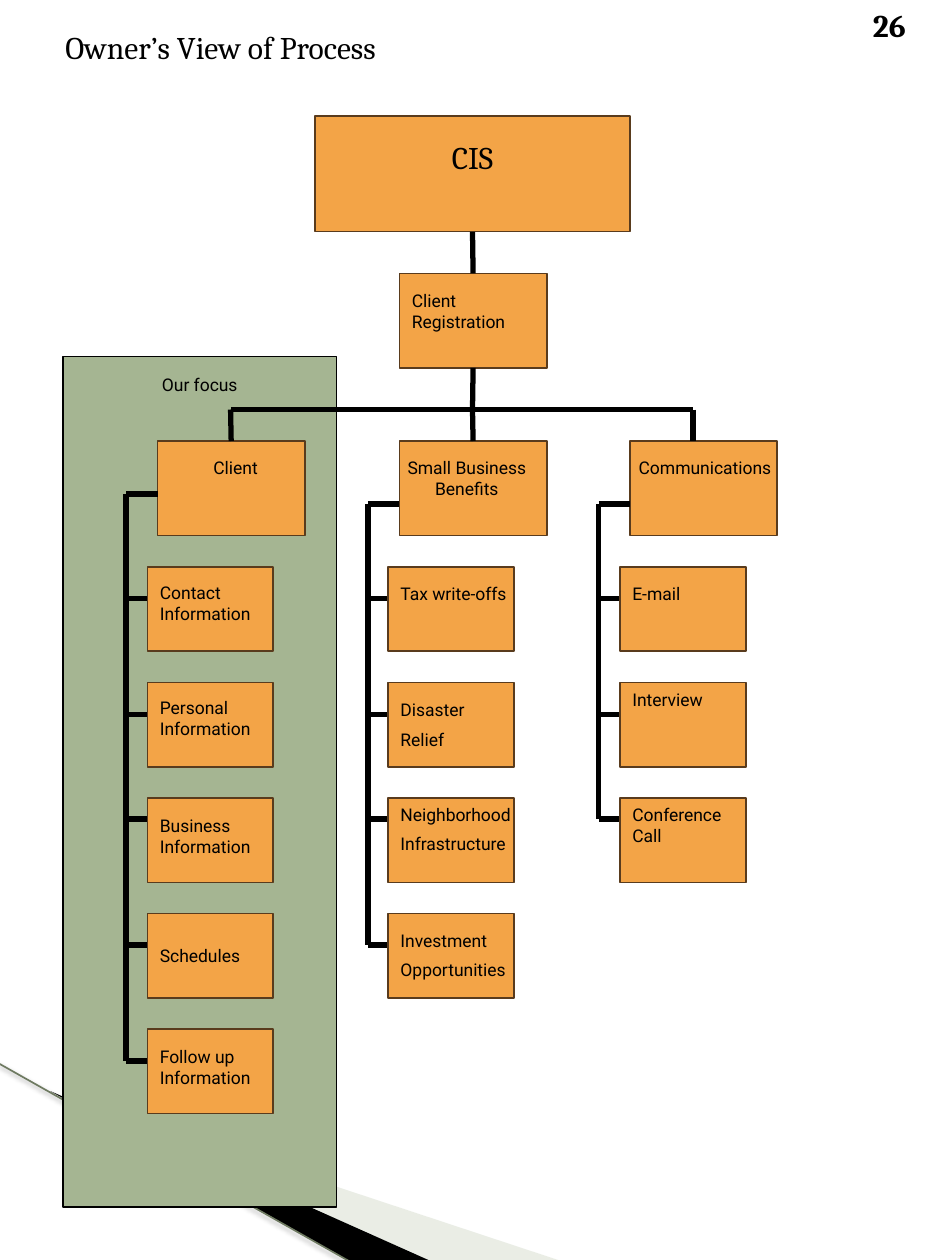
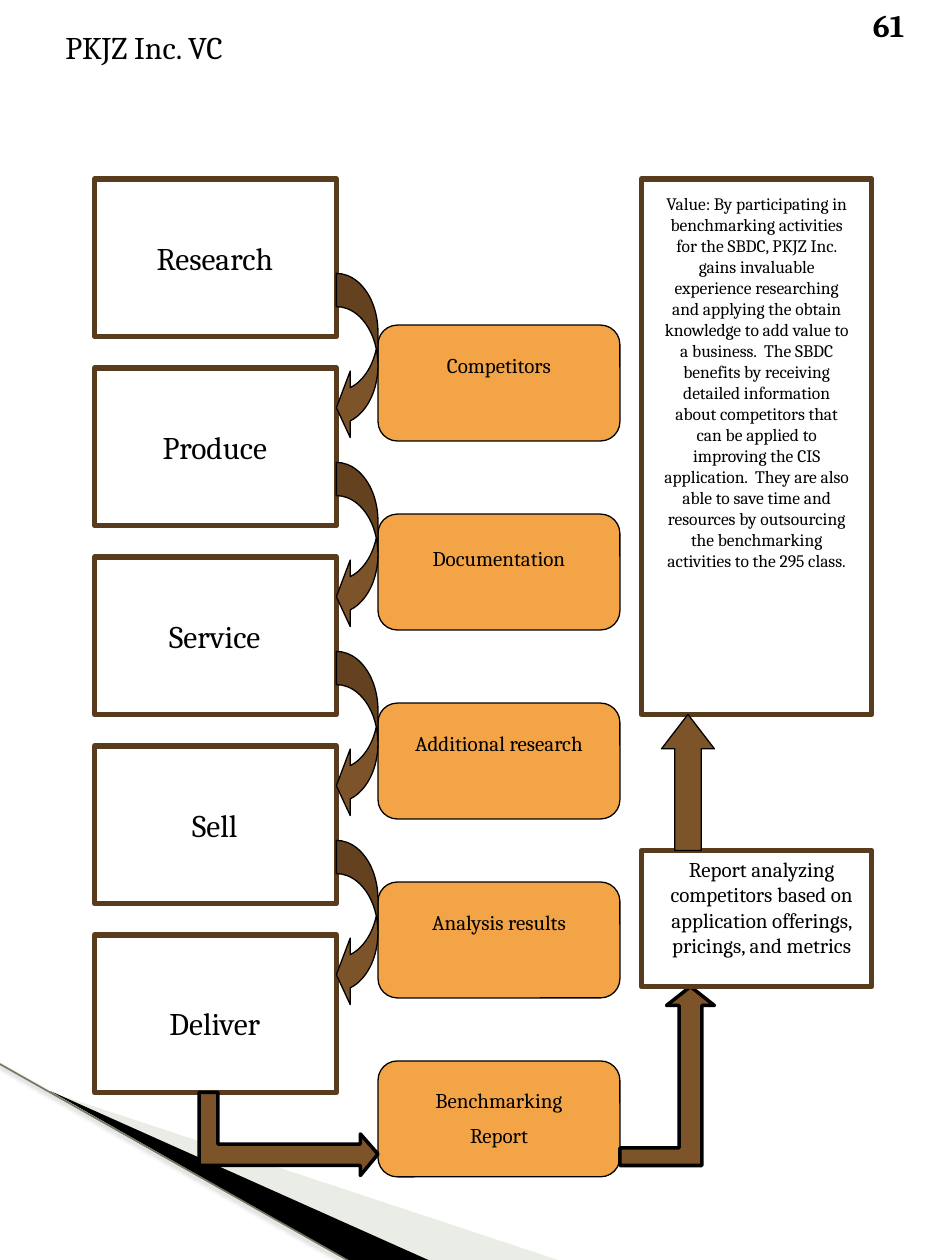
from lxml import etree
from pptx import Presentation
from pptx.dml.color import RGBColor
from pptx.enum import shapes, text
from pptx.oxml import ns
from pptx.util import Inches, Pt

BLACK = RGBColor(0x00, 0x00, 0x00)
ORANGE = RGBColor(0xF3, 0xA4, 0x47)
DARK_BROWN = RGBColor(0x59, 0x3B, 0x1D)
BROWN = RGBColor(0x7D, 0x53, 0x29)
SAGE = RGBColor(0xA5, 0xB5, 0x92)
PALE_SAGE = RGBColor(0xCB, 0xD4, 0xC0)
MOSS = RGBColor(0x6E, 0x7A, 0x61)

TITLE = {"name": "Cambria", "size": Pt(18)}
NUMBER = {"name": "Cambria", "size": Pt(18), "bold": True}
STEP = {"name": "Cambria", "size": Pt(12)}
NOTE = {"name": "Cambria", "size": Pt(10)}
NODE = {"name": "Roboto", "size": Pt(10)}

LEFT, CENTER = text.PP_ALIGN.LEFT, text.PP_ALIGN.CENTER
RECT = shapes.MSO_SHAPE.RECTANGLE
ROUNDED = shapes.MSO_SHAPE.ROUNDED_RECTANGLE
CURVED_ARROW = shapes.MSO_SHAPE.CURVED_LEFT_ARROW
UP_ARROW = shapes.MSO_SHAPE.UP_ARROW
TOP, BOTTOM = 0, 2

TRUNK_X, BUS_Y = 3.75, 3.25
CHILD_TOP, CHILD_PITCH = 4.5, 0.917
BRANCH_YS = [4.75, 5.67, 6.5, 7.5, 8.42]

# Each child: wording, label top, label height and, if not 1.25, label width.
# Without a label top the wording is centred vertically inside the box.
COLUMNS = [
    {"head": "Client", "head_x": 1.25, "label": (1.33, 1.08, 0.27),
     "drop_x": 1.83, "spine_x": 1, "elbow_y": 3.92, "child_x": 1.17,
     "children": [("Contact Information", 4.57, 0.43),
                  ("Personal Information", 5.48, 0.43),
                  ("Business Information", 6.42, 0.43),
                  ("Schedules", None, None),
                  ("Follow up Information", 8.25, 0.43)]},
    {"head": "Small Business Benefits", "head_x": 3.17,
     "label": (3.08, 1.25, 0.43),
     "drop_x": TRUNK_X, "spine_x": 2.92, "elbow_y": 4, "child_x": 3.08,
     "children": [("Tax write-offs", 4.58, 0.27),
                  ("Disaster\nRelief", 5.5, 0.5),
                  ("Neighborhood\nInfrastructure", 6.33, 0.5),
                  ("Investment\nOpportunities", 7.33, 0.5)]},
    {"head": "Communications", "head_x": 5, "label": (4.93, 1.33, 0.43),
     "drop_x": 5.5, "spine_x": 4.75, "elbow_y": 4, "child_x": 4.92,
     "children": [("E-mail", 4.58, 0.27),
                  ("Interview", 5.42, 0.27),
                  ("Conference Call", 6.33, 0.43, 1.08)]},
]

# Stage name and label top
STAGES = [("Research", 1.85), ("Produce", 3.35), ("Service", 4.85),
          ("Sell", 6.35), ("Deliver", 7.92)]
# Wording, box top, label top, label height
OUTPUTS = [("Competitors", 2.58, 2.75, 0.3),
           ("Documentation", 4.08, 4.28, 0.3),
           ("Additional research", 5.58, 5.75, 0.58),
           ("Analysis results", 7, 7.17, 0.3),
           ("Benchmarking\nReport", 8.42, 8.58, 0.58)]
STAGE_TOP, STAGE_PITCH = 1.42, 1.5

VALUE = (
    "Value: By participating in benchmarking activities for the SBDC, PKJZ Inc. "
    "gains invaluable experience researching and applying the obtain knowledge "
    "to add value to a business.  The SBDC benefits by receiving detailed "
    "information about competitors that can be applied to improving the CIS "
    "application.  They are also able to save time and resources by outsourcing "
    "the benchmarking activities to the 295 class.")
REPORT = ("Report analyzing competitors based on application offerings, "
          "pricings, and metrics")

TO_REPORT_BOX = [(1.73, 8.67), (1.73, 9.08), (2.86, 9.08), (2.86, 9), (3, 9.16),
                 (2.86, 9.33), (2.86, 9.25), (1.58, 9.25), (1.58, 8.67)]
TO_ANALYSIS = [(4.92, 9.11), (5.39, 9.11), (5.39, 7.98), (5.29, 7.98),
               (5.48, 7.83), (5.67, 7.98), (5.57, 7.98), (5.57, 9.25),
               (4.92, 9.25)]


def inches(values):
    return [Inches(value) for value in values]


def write(frame, wording, style, align=LEFT, gap=5):
    """Fill a text frame, one paragraph a line, with gap points between."""
    for index, line in enumerate(wording.split("\n")):
        para = frame.add_paragraph() if index else frame.paragraphs[0]
        para.alignment = align
        if index:
            para.space_before = Pt(gap)
        span = para.add_run()
        span.text = line
        for name, value in style.items():
            setattr(span.font, name, value)
        span.font.color.rgb = BLACK


def add_label(page, at, wording, style, align=LEFT, gap=5):
    box = page.shapes.add_textbox(*inches(at))
    box.text_frame.word_wrap = True
    write(box.text_frame, wording, style, align, gap)


def paint(shape, fill=None, line=None, width=0.75):
    shape.shadow.inherit = False
    if fill is None:
        shape.fill.background()
    else:
        shape.fill.solid()
        shape.fill.fore_color.rgb = fill
    if line is None:
        shape.line.fill.background()
    else:
        shape.line.color.rgb = line
        shape.line.width = Pt(width)
    return shape


def add_box(page, kind, at, fill=None, line=BLACK, width=0.75, adjust=()):
    shape = page.shapes.add_shape(kind, *inches(at))
    for index, value in enumerate(adjust):
        shape.adjustments[index] = value
    return paint(shape, fill, line, width)


def add_outline(page, points, fill, line=None, width=0.75):
    corners = [tuple(inches(point)) for point in points]
    builder = page.shapes.build_freeform(*corners[0])
    builder.add_line_segments(corners[1:], close=True)
    return paint(builder.convert_to_shape(), fill, line, width)


def add_line(page, start, end, color=BLACK, width=3):
    line = page.shapes.add_connector(
        shapes.MSO_CONNECTOR.STRAIGHT, *inches(start), *inches(end))
    line.line.color.rgb = color
    line.line.width = Pt(width)
    etree.SubElement(line._element.spPr, ns.qn("a:effectLst"))
    return line


def add_backdrop(page):
    """Draw the corner sweep at the bottom left."""
    pale = add_outline(page, [(0.41, 8.67), (4.46, 10.01), (3.42, 10.01)],
                       PALE_SAGE)
    color = pale._element.spPr.find(".//" + ns.qn("a:srgbClr"))
    etree.SubElement(color, ns.qn("a:alpha"), val="40000")
    add_outline(page, [(0.4, 8.66), (3.42, 10.01), (2.79, 10.02)], BLACK)
    edge = add_line(page, (-0.01, 8.44), (2.79, 10.02), MOSS, 0.96)
    effects = edge._element.spPr.find(ns.qn("a:effectLst"))
    shadow = etree.SubElement(
        effects, ns.qn("a:outerShdw"), blurRad=str(Pt(3.1)), dist=str(Pt(1.6)),
        dir="5400000", algn="tl", rotWithShape="0")
    color = etree.SubElement(shadow, ns.qn("a:srgbClr"), val="000000")
    etree.SubElement(color, ns.qn("a:alpha"), val="38000")


def add_page(deck, title, number):
    page = deck.slides.add_slide(deck.slide_layouts[6])
    add_backdrop(page)
    add_label(page, (0.42, 0.17, 6.25, 0.4), title, TITLE)
    add_label(page, (6.83, 0, 0.58, 0.4), number, NUMBER)
    return page


def add_node(page, at):
    return add_box(page, RECT, at, ORANGE, DARK_BROWN, 1)


def add_child(page, x, top, wording, label_top, height, width=1.25):
    node = add_node(page, (x, top, 1, 0.67))
    if label_top is None:
        node.text_frame.word_wrap = False
        node.text_frame.vertical_anchor = text.MSO_ANCHOR.MIDDLE
        write(node.text_frame, wording, NODE)
    else:
        add_label(page, (x, label_top, width, height), wording, NODE)


def add_column(page, column):
    """Draw a head box, its drop from the bus, and its children on a spine."""
    head_x, drop_x = column["head_x"], column["drop_x"]
    spine_x, elbow_y = column["spine_x"], column["elbow_y"]
    child_x, children = column["child_x"], column["children"]

    if drop_x != TRUNK_X:
        add_line(page, (TRUNK_X, BUS_Y), (drop_x, BUS_Y))
    head = add_node(page, (head_x, 3.5, 1.17, 0.75))
    drop = add_line(page, (drop_x, BUS_Y), (drop_x, 3.5))
    if abs(drop_x - head_x - 1.17 / 2) < 0.02:
        drop.end_connect(head, TOP)
    label_x, label_width, label_height = column["label"]
    add_label(page, (label_x, 3.58, label_width, label_height),
              column["head"], NODE, CENTER)

    add_line(page, (spine_x, elbow_y), (head_x, elbow_y))
    add_line(page, (spine_x, elbow_y), (spine_x, BRANCH_YS[len(children) - 1]))
    for index, child in enumerate(children):
        branch_y = BRANCH_YS[index]
        add_line(page, (spine_x, branch_y), (child_x, branch_y))
        add_child(page, child_x, CHILD_TOP + index * CHILD_PITCH, *child)


def build_process_page(deck):
    page = add_page(deck, "Owner’s View of Process", "26")
    add_box(page, RECT, (0.5, 2.83, 2.17, 6.75), SAGE)
    add_label(page, (0.5, 2.92, 2.17, 0.27), "Our focus", NODE, CENTER)

    system = add_box(page, RECT, (2.5, 0.92, 2.5, 0.92), ORANGE, DARK_BROWN)
    add_label(page, (2.5, 1.05, 2.5, 0.4), "CIS", TITLE, CENTER)
    registration = add_node(page, (3.17, 2.17, 1.17, 0.75))
    add_label(page, (3.17, 2.25, 1.25, 0.43), "Client Registration", NODE)

    link = add_line(page, (TRUNK_X, 1.83), (TRUNK_X, 2.17))
    link.begin_connect(system, BOTTOM)
    link.end_connect(registration, TOP)
    trunk = add_line(page, (TRUNK_X, 2.92), (TRUNK_X, BUS_Y))
    trunk.begin_connect(registration, BOTTOM)
    for column in COLUMNS:
        add_column(page, column)


def build_value_chain_page(deck):
    page = add_page(deck, "PKJZ Inc. VC", "61")
    for index, (stage, label_top) in enumerate(STAGES):
        top = STAGE_TOP + index * STAGE_PITCH
        add_box(page, RECT, (0.75, top, 1.92, 1.25), None, DARK_BROWN, 3)
        add_label(page, (0.83, label_top, 1.75, 0.4), stage, TITLE, CENTER)
    for output, top, label_top, height in OUTPUTS:
        add_box(page, ROUNDED, (3, top, 1.92, 0.92), ORANGE, adjust=[0.167])
        add_label(page, (3, label_top, 1.92, height), output, STEP, CENTER, 6)
    for index in range(len(STAGES) - 1):
        top = STAGE_TOP + 0.75 + index * STAGE_PITCH
        add_box(page, CURVED_ARROW, (2.67, top, 0.33, 1.33), BROWN,
                adjust=[0.8, 1.6, 0.333])

    add_outline(page, TO_REPORT_BOX, BROWN, BLACK, 2)
    add_box(page, RECT, (5.09, 1.42, 1.83, 4.25), None, DARK_BROWN, 3)
    add_outline(page, TO_ANALYSIS, BROWN, BLACK, 2)
    add_box(page, RECT, (5.09, 6.75, 1.83, 1.08), None, DARK_BROWN, 3)
    add_box(page, UP_ARROW, (5.25, 5.67, 0.42, 1.08), BROWN, adjust=[0.5, 0.65])
    add_label(page, (5.17, 1.48, 1.67, 4.09), VALUE, NOTE, CENTER)
    add_label(page, (5.17, 6.75, 1.75, 1.78), REPORT, STEP, CENTER)


def main():
    deck = Presentation()
    deck.slide_width, deck.slide_height = Inches(7.5), Inches(10)
    build_process_page(deck)
    build_value_chain_page(deck)
    deck.save("out.pptx")


if __name__ == "__main__":
    main()
